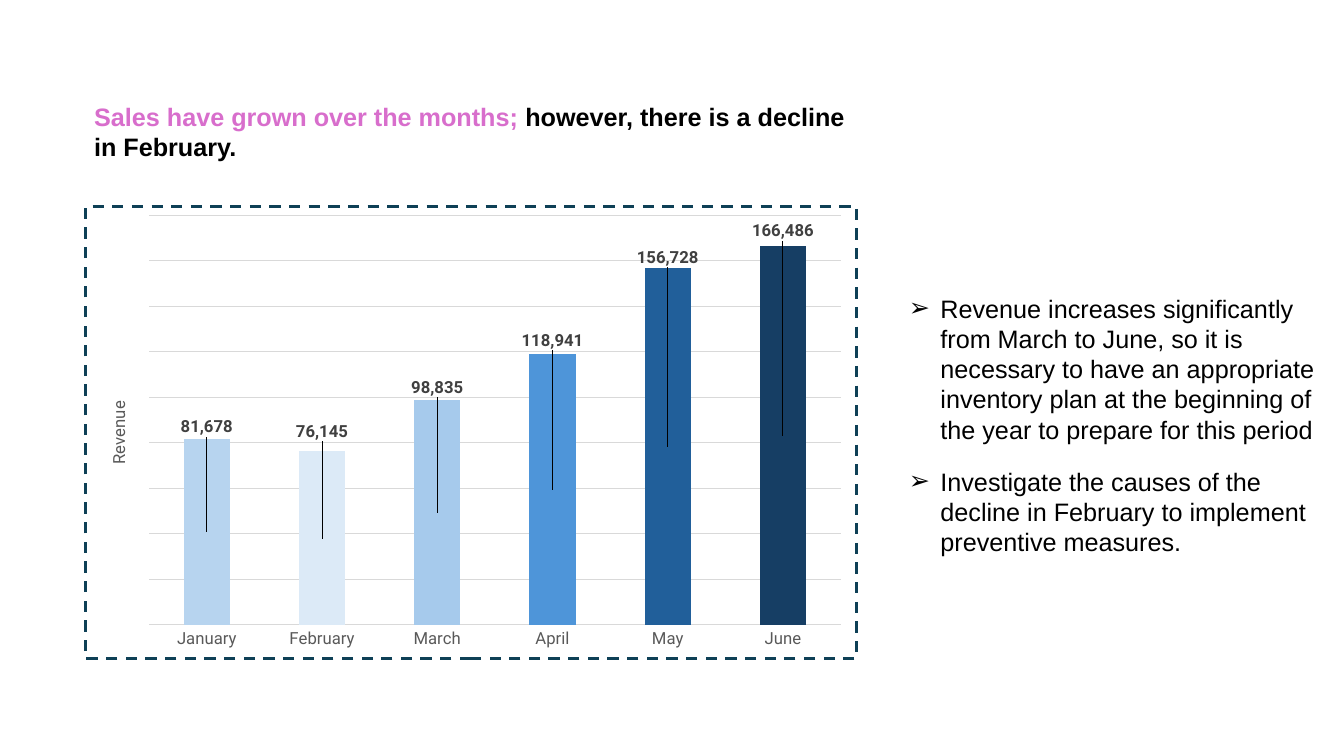
from typing import NamedTuple

from pptx import Presentation
from pptx.chart.chart import Chart
from pptx.chart.data import CategoryChartData
from pptx.dml.color import RGBColor
from pptx.enum.chart import XL_CHART_TYPE as ChartType
from pptx.enum.chart import XL_LABEL_POSITION as LabelPos
from pptx.enum.chart import XL_TICK_MARK as Tick
from pptx.enum.text import MSO_ANCHOR as Anchor
from pptx.enum.text import MSO_AUTO_SIZE as AutoSize
from pptx.enum.text import PP_ALIGN as Align
from pptx.oxml import parse_xml
from pptx.oxml.ns import nsdecls, qn
from pptx.util import Emu, Pt

SCALE = 914400 / 100.8
NUMBER_FORMAT = '_(* #,##0_);_(* \\(#,##0\\);_(* "-"??_);_('
AXIS_MAX, AXIS_STEP = 180000, 20000
GRID = "D9D9D9"


class Box(NamedTuple):
    left: int
    top: int
    width: int
    height: int


class Bar(NamedTuple):
    month: str
    revenue: int
    color: str
    lift: int  # px from the top of the bar to the middle of its label


class Note(NamedTuple):
    box: Box
    text: str


SLIDE = Box(0, 0, 1344, 756)
TITLE = Box(84, 96, 787, 72)
CHART = Box(84, 205, 774, 455)
PLOT = Box(148, 214, 694, 412)
AXIS_TITLE = Box(103, 398, 16, 64)
BARS = [
    Bar("January", 81678, "B7D4EF", 12),
    Bar("February", 76145, "DCEAF7", 20),
    Bar("March", 98835, "A6CAEC", 12),
    Bar("April", 118941, "4E95D9", 14),
    Bar("May", 156728, "215F9A", 11),
    Bar("June", 166486, "163E64", 15),
]
HEADLINE = [
    ("Sales have grown over the months; ", "D86ECC"),
    ("however, there is a decline in February.", "000000"),
]
NOTES = [
    Note(Box(899, 288, 433, 163),
         "Revenue increases significantly from March to June, so it is necessary to have an "
         "appropriate inventory plan at the beginning of the year to prepare for this period"),
    Note(Box(899, 461, 433, 102),
         "Investigate the causes of the decline in February to implement preventive measures."),
]


def px(n: float) -> Emu:
    return Emu(round(n * SCALE))


def rgb(color: str) -> RGBColor:
    return RGBColor.from_string(color)


def set_font(font, color: str, **values) -> None:
    for name, value in values.items():
        setattr(font, name, value)
    font.color.rgb = rgb(color)


def set_layout(parent, index: int, inner: bool = False, edge: bool = True, **parts: float) -> None:
    """Place a chart part by fractions of the chart's size."""
    for old in parent.findall(qn("c:layout")):
        index = parent.index(old)
        parent.remove(old)
    xml = '<c:layoutTarget val="inner"/>' if inner else ""
    if edge:
        xml += '<c:xMode val="edge"/><c:yMode val="edge"/>'
    xml += "".join(f'<c:{name} val="{value:.4f}"/>' for name, value in parts.items())
    parent.insert(index, parse_xml(
        f'<c:layout {nsdecls("c")}><c:manualLayout>{xml}</c:manualLayout></c:layout>'))


def hide_leader_lines(chart: Chart) -> None:
    for labels in chart.element.xpath(".//c:ser/c:dLbls"):
        for old in labels.findall(qn("c:showLeaderLines")):
            labels.remove(old)
        labels.append(parse_xml(
            f'<c:extLst {nsdecls("c")}><c:ext uri="{{CE6537A1-D6FC-4f65-9D91-7224C49458BB}}" '
            'xmlns:c15="http://schemas.microsoft.com/office/drawing/2012/chart">'
            '<c15:showLeaderLines val="0"/></c:ext></c:extLst>'))


def add_headline(s) -> None:
    sp = s.shapes.title
    sp.left, sp.top, sp.width, sp.height = map(px, TITLE)
    tf = sp.text_frame
    for name, value in {"word_wrap": True, "auto_size": AutoSize.SHAPE_TO_FIT_TEXT,
                        "vertical_anchor": Anchor.TOP}.items():
        setattr(tf, name, value)
    p = tf.paragraphs[0]
    p.alignment, p.line_spacing = Align.LEFT, 1.0
    for text, color in HEADLINE:
        r = p.add_run()
        r.text = text
        set_font(r.font, color, name="Arial", size=Pt(18), bold=True)


def add_note(s, note: Note) -> None:
    tf = s.shapes.add_textbox(*map(px, note.box)).text_frame
    tf.word_wrap, tf.auto_size = True, AutoSize.SHAPE_TO_FIT_TEXT
    p = tf.paragraphs[0]
    r = p.add_run()
    r.text = note.text
    set_font(r.font, "000000", name="Arial", size=Pt(18))
    pPr = p._p.get_or_add_pPr()
    pPr.set("marL", "285750")
    pPr.set("indent", "-285750")
    pPr.append(parse_xml(f'<a:buFont {nsdecls("a")} typeface="Arial"/>'))
    pPr.append(parse_xml(f'<a:buChar {nsdecls("a")} char="➢"/>'))


def format_axes(chart: Chart) -> None:
    months, revenue = chart.category_axis, chart.value_axis
    for axis in (months, revenue):
        axis.major_tick_mark = axis.minor_tick_mark = Tick.NONE
    set_font(months.tick_labels.font, "595959", name="Roboto", size=Pt(12))
    for line in (months.format.line, revenue.major_gridlines.format.line):
        line.color.rgb, line.width = rgb(GRID), Pt(0.75)
    for name, value in {"minimum_scale": 0, "maximum_scale": AXIS_MAX,
                        "major_unit": AXIS_STEP, "visible": False}.items():
        setattr(revenue, name, value)
    revenue.tick_labels.number_format = NUMBER_FORMAT
    revenue.tick_labels.number_format_is_linked = False

    # Axis title, turned upright
    r = revenue.axis_title.text_frame.paragraphs[0].add_run()
    r.text = "Revenue"
    set_font(r.font, "595959", name="Roboto", size=Pt(12), bold=False)
    title = chart.element.xpath(".//c:valAx/c:title")[0]
    body = title.xpath(".//a:bodyPr")[0]
    body.set("rot", "-5400000")
    body.set("vert", "horz")
    set_layout(title, 1, x=(AXIS_TITLE.left - CHART.left) / CHART.width,
               y=(AXIS_TITLE.top - CHART.top) / CHART.height)


def format_bars(chart: Chart) -> None:
    plot = chart.plots[0]
    plot.gap_width, plot.overlap, plot.vary_by_categories = 150, 100, False
    series, extra = plot.series
    for ser, color in ((series, "156082"), (extra, "E97132")):
        ser.format.fill.solid()
        ser.format.fill.fore_color.rgb = rgb(color)
    labels = series.data_labels
    for name, value in {"show_value": True, "number_format": NUMBER_FORMAT,
                        "number_format_is_linked": False, "position": LabelPos.CENTER}.items():
        setattr(labels, name, value)
    label_font = {"name": "Roboto", "size": Pt(12), "bold": True}
    set_font(labels.font, "404040", **label_font)

    # Each label is raised from the middle of its bar to just above it
    for i, bar in enumerate(BARS):
        point = series.points[i]
        point.format.fill.solid()
        point.format.fill.fore_color.rgb = rgb(bar.color)
        set_font(point.data_label.font, "404040", **label_font)
        point.data_label.position = LabelPos.CENTER
        rise = bar.revenue / AXIS_MAX * PLOT.height / 2 + bar.lift
        label = chart.element.xpath(f".//c:dLbl[c:idx/@val='{i}']")[0]
        set_layout(label, 1, edge=False, x=0, y=-rise / CHART.height)
    hide_leader_lines(chart)


def add_revenue_chart(s) -> None:
    data = CategoryChartData(number_format=NUMBER_FORMAT)
    data.categories = [bar.month for bar in BARS]
    data.add_series("Series 1", [bar.revenue for bar in BARS])
    data.add_series("Series 2", [0] * len(BARS))
    chart = s.shapes.add_chart(ChartType.COLUMN_STACKED, *map(px, CHART), data).chart
    chart.has_legend = chart.has_title = False
    set_font(chart.font, "000000", name="Roboto", size=Pt(10))
    format_axes(chart)
    format_bars(chart)
    set_layout(chart.element.xpath(".//c:plotArea")[0], 0, inner=True,
               x=(PLOT.left - CHART.left) / CHART.width, y=(PLOT.top - CHART.top) / CHART.height,
               w=PLOT.width / CHART.width, h=PLOT.height / CHART.height)

    # Dashed frame
    chart.element.xpath("c:chart")[0].addnext(parse_xml(
        f'<c:spPr {nsdecls("c", "a")}><a:noFill/><a:ln w="{Pt(2)}"><a:solidFill>'
        '<a:srgbClr val="0E4056"/></a:solidFill><a:prstDash val="dash"/></a:ln></c:spPr>'))


def main() -> None:
    prs = Presentation()
    prs.slide_width, prs.slide_height = px(SLIDE.width), px(SLIDE.height)
    s = prs.slides.add_slide(prs.slide_layouts[5])
    add_headline(s)
    add_revenue_chart(s)
    for note in NOTES:
        add_note(s, note)
    prs.save("out.pptx")


if __name__ == "__main__":
    main()
